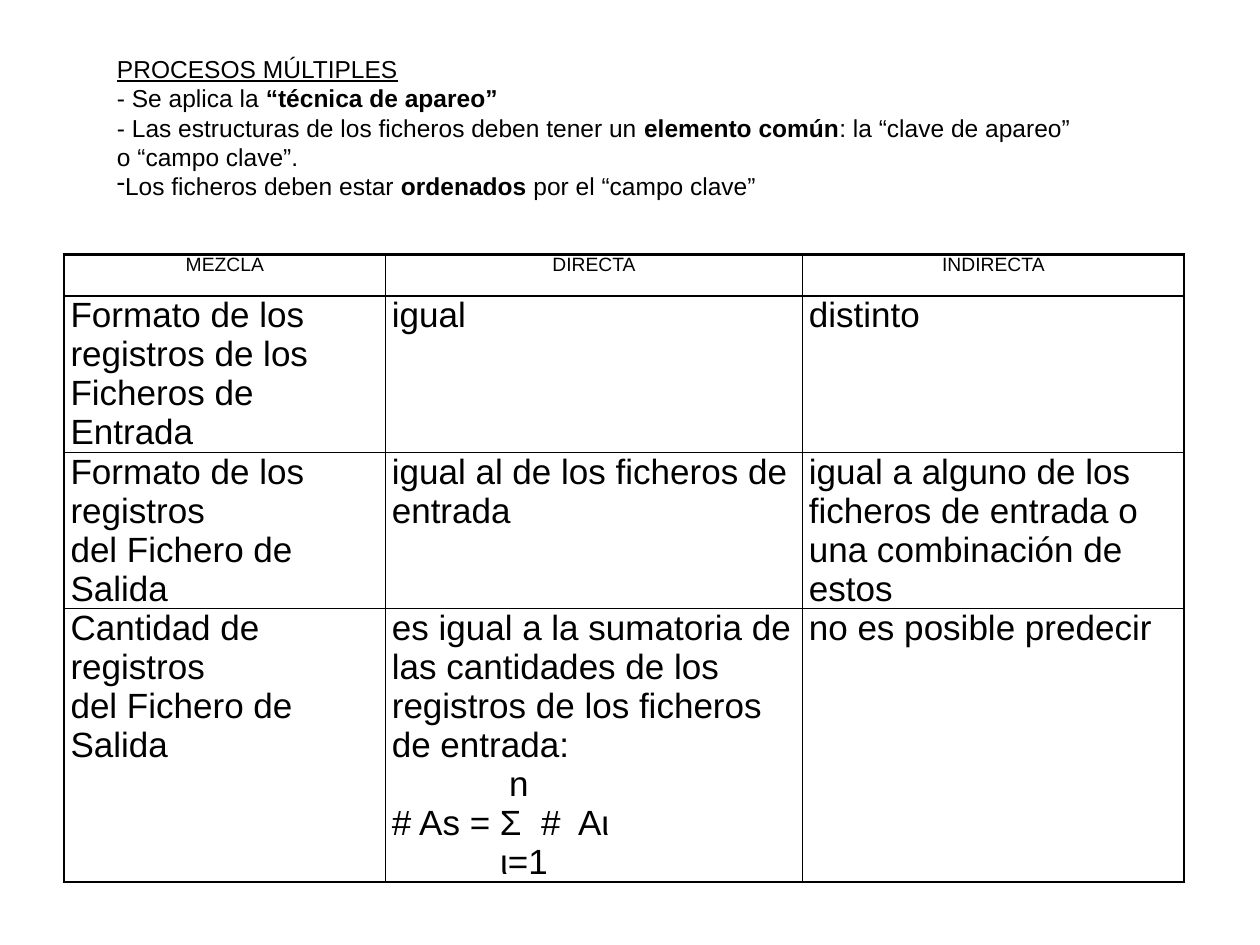
from lxml import etree
from pptx import Presentation
from pptx.dml.color import RGBColor
from pptx.enum.text import MSO_ANCHOR, MSO_AUTO_SIZE, PP_ALIGN
from pptx.oxml.ns import qn
from pptx.util import Inches, Pt

FONT = "Arial"
BLACK = "000000"
INNER_LINE, OUTER_LINE = 1, 1.5

# Each paragraph is a list of (text, style) runs
INTRO = [
    [("PROCESOS MÚLTIPLES", "underline")],
    [("- Se aplica la ", ""), ("“técnica de apareo”", "bold")],
    [("- Las estructuras de los ficheros deben tener un ", ""),
     ("elemento común", "bold"),
     (": la “clave de apareo” o “campo clave”.", "")],
    [("Los ficheros deben estar ", ""), ("ordenados", "bold"),
     (" por el “campo clave”", "")],
]

COLUMN_WIDTHS = [2.55, 3.31, 3.03]
ROW_HEIGHTS = [0.33, 0.67, 1, 2.01]
ROWS = [
    ["MEZCLA", "DIRECTA", "INDIRECTA"],
    ["Formato de los registros de los Ficheros de Entrada", "igual", "distinto"],
    ["Formato de los registros\ndel Fichero de Salida",
     "igual al de los ficheros de entrada",
     "igual a alguno de los ficheros de entrada o una combinación de estos"],
    ["Cantidad de registros\ndel Fichero de Salida",
     "es igual a la sumatoria de las cantidades de los registros de los "
     "ficheros de entrada:\nn\n# Αs = Σ  #  Αι\nι=1",
     "no es posible predecir"],
]
# Limits of the sum, indented to sit above and below the sigma
LIMIT_INDENTS = {"n": 0.93, "ι=1": 0.86}


def set_font(font, size, color=BLACK):
    font.name = FONT
    font.size = Pt(size)
    font.color.rgb = RGBColor.from_string(color)


def set_indent(paragraph, left):
    properties = paragraph._p.get_or_add_pPr()
    properties.set("marL", str(Inches(left)))
    properties.set("indent", "0")
    return properties


def add_border(cell, side, width, color=BLACK):
    line = etree.SubElement(cell._tc.get_or_add_tcPr(), qn(f"a:ln{side}"),
                            w=str(Pt(width)))
    fill = etree.SubElement(line, qn("a:solidFill"))
    etree.SubElement(fill, qn("a:srgbClr"), val=color)


def add_intro(slide, left, top, width, height):
    text_box = slide.shapes.add_textbox(left, top, width, height)
    text_frame = text_box.text_frame
    text_frame.word_wrap = True
    text_frame.auto_size = MSO_AUTO_SIZE.SHAPE_TO_FIT_TEXT
    text_frame.vertical_anchor = MSO_ANCHOR.MIDDLE
    text_frame.text = "\n".join("" for _ in INTRO)
    for paragraph, runs in zip(text_frame.paragraphs, INTRO):
        for text, style in runs:
            run = paragraph.add_run()
            run.text = text
            set_font(run.font, 14)
            run.font.bold = style == "bold"
            run.font.underline = style == "underline"
    # The last line carries a real dash bullet
    properties = set_indent(text_frame.paragraphs[-1], 0)
    etree.SubElement(properties, qn("a:buChar"), char="-")


def fill_cell(cell, text, is_header):
    cell.margin_left = cell.margin_right = Inches(0.05)
    cell.margin_top = cell.margin_bottom = 0
    cell.text_frame.text = text
    for paragraph in cell.text_frame.paragraphs:
        if paragraph.text in LIMIT_INDENTS:
            set_indent(paragraph, LIMIT_INDENTS[paragraph.text])
        if is_header:
            paragraph.alignment = PP_ALIGN.CENTER
        for run in paragraph.runs:
            set_font(run.font, 11 if is_header else 20)


def add_comparison_table(slide, left, top, width, height):
    last_row, last_column = len(ROWS) - 1, len(COLUMN_WIDTHS) - 1
    table = slide.shapes.add_table(len(ROWS), len(COLUMN_WIDTHS),
                                   left, top, width, height).table
    table.first_row = table.horz_banding = False
    for column, column_width in zip(table.columns, COLUMN_WIDTHS):
        column.width = Inches(column_width)
    for row, row_height in zip(table.rows, ROW_HEIGHTS):
        row.height = Inches(row_height)
    for i, texts in enumerate(ROWS):
        for j, text in enumerate(texts):
            cell = table.cell(i, j)
            fill_cell(cell, text, is_header=i == 0)
            # Thicker lines run around the outside
            outer_sides = {"L": j == 0, "R": j == last_column,
                           "T": i == 0, "B": i == last_row}
            for side, is_outer in outer_sides.items():
                add_border(cell, side, OUTER_LINE if is_outer else INNER_LINE)
            cell.fill.background()


def main():
    presentation = Presentation()
    presentation.slide_width = Inches(10)
    presentation.slide_height = Inches(7.5)
    slide = presentation.slides.add_slide(presentation.slide_layouts[6])
    add_comparison_table(slide, Inches(0.51), Inches(2.02),
                         Inches(sum(COLUMN_WIDTHS)), Inches(sum(ROW_HEIGHTS)))
    add_intro(slide, Inches(0.83), Inches(0.37), Inches(7.83), Inches(1.28))
    presentation.save("out.pptx")


if __name__ == "__main__":
    main()
